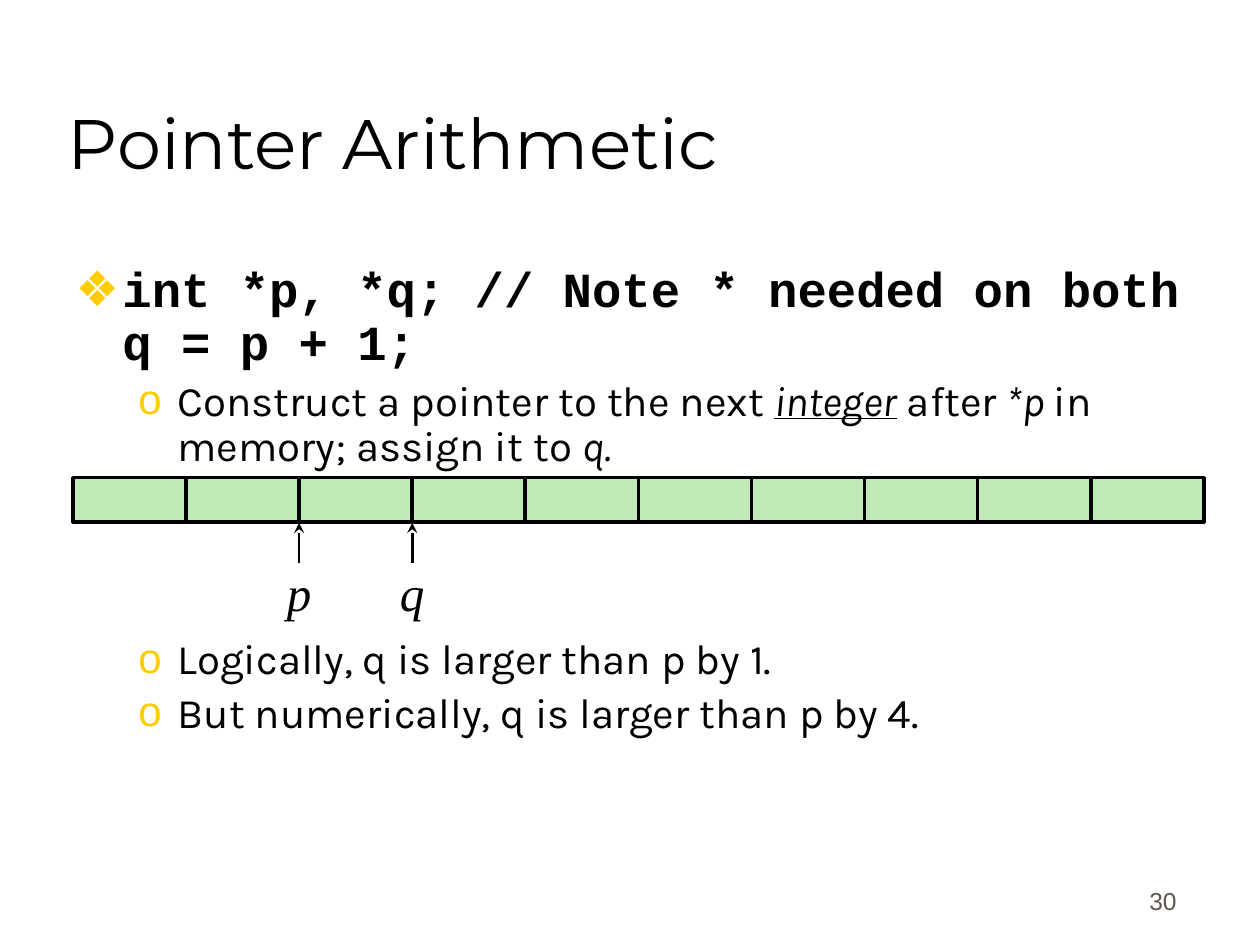
import pptx
import pptx.util
import pptx.dml.color
import pptx.enum.shapes
import pptx.enum.text
import pptx.oxml.ns
from lxml import etree

Cm, Pt = pptx.util.Cm, pptx.util.Pt
ALIGN = pptx.enum.text.PP_ALIGN
ANCHOR = pptx.enum.text.MSO_ANCHOR

TITLE = "Pointer Arithmetic"
PAGE_NUMBER = "30"
CODE = "int *p, *q; // Note * needed on both\nq = p + 1;"
# Each point: space before in points, then (text, style) runs; i italic, u underlined
POINTS = [
    (4.8, [("Construct a pointer to the next ", ""), ("integer", "iu"),
           (" after ", ""), ("*p ", "i"), ("in memory; assign it to ", ""),
           ("q.", "i")]),
    (96, [("Logically, q is larger than p by 1.", "")]),
    (4.8, [("But numerically, q is larger than p by 4.", "")]),
]
POINTERS = [("p", 2), ("q", 3)]  # name, index of the cell it points to

BLACK, GOLD, GREEN, GREY = "000000", "FFCC00", "C0EAB8", "5E574E"
CELL_COUNT = 10
ROW_LEFT, ROW_TOP, CELL_W, CELL_H = 1.47, 9.63, 2.28, 0.89
ARROW_LENGTH = 0.8
LABEL_W, LABEL_H = 0.5, 1.19


def rgb(value):
    return pptx.dml.color.RGBColor.from_string(value)


def add_element(parent, tag, **attributes):
    return etree.SubElement(parent, pptx.oxml.ns.qn(tag), attributes)


def add_text_box(slide, left, top, width, height, anchor=ANCHOR.TOP):
    tf = slide.shapes.add_textbox(Cm(left), Cm(top), Cm(width), Cm(height)).text_frame
    tf.word_wrap = True
    tf.vertical_anchor = anchor
    return tf


def style_runs(p, font, size, color=BLACK, bold=False):
    for r in p.runs:
        r.font.name, r.font.size, r.font.bold = font, Pt(size), bold
        r.font.color.rgb = rgb(color)


def set_bullet(p, char, margin, hang, before):
    """Give a paragraph its spacing, hanging indent and gold bullet."""
    p.line_spacing = 0.9
    p.space_before = Pt(before)
    pPr = p._p.get_or_add_pPr()
    pPr.set("marL", str(Cm(margin)))
    pPr.set("indent", str(-Cm(hang)))
    add_element(add_element(pPr, "a:buClr"), "a:srgbClr", val=GOLD)
    add_element(pPr, "a:buFont", typeface="Arial")
    add_element(pPr, "a:buChar", char=char)


def add_body(slide):
    tf = add_text_box(slide, 1.27, 5.23, 23.5, 11.58)
    p = tf.paragraphs[0]
    p.text = CODE
    style_runs(p, "Courier New", 28, bold=True)
    set_bullet(p, "❖", 0.95, 0.95, 5.6)
    for before, parts in POINTS:
        p = tf.add_paragraph()
        p.level = 1
        for text, style in parts:
            r = p.add_run()
            r.text = text
            r.font.italic = "i" in style
            r.font.underline = "u" in style
        style_runs(p, "Karla", 24)
        set_bullet(p, "o", 2.06, 0.79, before)


def add_cell(slide, index):
    sp = slide.shapes.add_shape(
        pptx.enum.shapes.MSO_SHAPE.RECTANGLE, Cm(ROW_LEFT + index * CELL_W),
        Cm(ROW_TOP), Cm(CELL_W), Cm(CELL_H))
    sp.shadow.inherit = False
    sp.fill.solid()
    sp.fill.fore_color.rgb = rgb(GREEN)
    sp.line.color.rgb = rgb(BLACK)
    sp.line.width = Pt(2)


def add_pointer(slide, name, index):
    """Draw a labelled arrow up to the left edge of a cell."""
    x = ROW_LEFT + index * CELL_W
    tip = ROW_TOP + CELL_H + 0.02
    base = tip + ARROW_LENGTH
    arrow = slide.shapes.add_connector(
        pptx.enum.shapes.MSO_CONNECTOR.STRAIGHT, Cm(x), Cm(base), Cm(x), Cm(tip))
    arrow.line.color.rgb = rgb(BLACK)
    arrow.line.width = Pt(1.5)
    add_element(arrow.line._get_or_add_ln(), "a:tailEnd", type="stealth")
    add_element(arrow._element.spPr, "a:effectLst")

    tf = add_text_box(slide, x - LABEL_W / 2, base, LABEL_W, LABEL_H)
    tf.word_wrap = False
    tf.margin_left = tf.margin_right = tf.margin_top = tf.margin_bottom = 0
    p = tf.paragraphs[0]
    p.text = name
    p.alignment = ALIGN.CENTER
    style_runs(p, "Times New Roman", 28)
    p.runs[0].font.italic = True


def main():
    prs = pptx.Presentation()
    prs.slide_width, prs.slide_height = Cm(25.4), Cm(19.05)
    slide = prs.slides.add_slide(prs.slide_layouts[6])

    p = add_text_box(slide, 1.12, 0.64, 21.59, 3.18, ANCHOR.BOTTOM).paragraphs[0]
    p.text = TITLE
    style_runs(p, "Montserrat", 40)

    add_body(slide)
    for index in range(CELL_COUNT):
        add_cell(slide, index)
    for name, index in POINTERS:
        add_pointer(slide, name, index)

    p = add_text_box(slide, 18.69, 17.3, 5.28, 1.27, ANCHOR.BOTTOM).paragraphs[0]
    p.text = PAGE_NUMBER
    p.alignment = ALIGN.RIGHT
    style_runs(p, "Arial", 14, GREY)

    prs.save("out.pptx")


if __name__ == "__main__":
    main()
